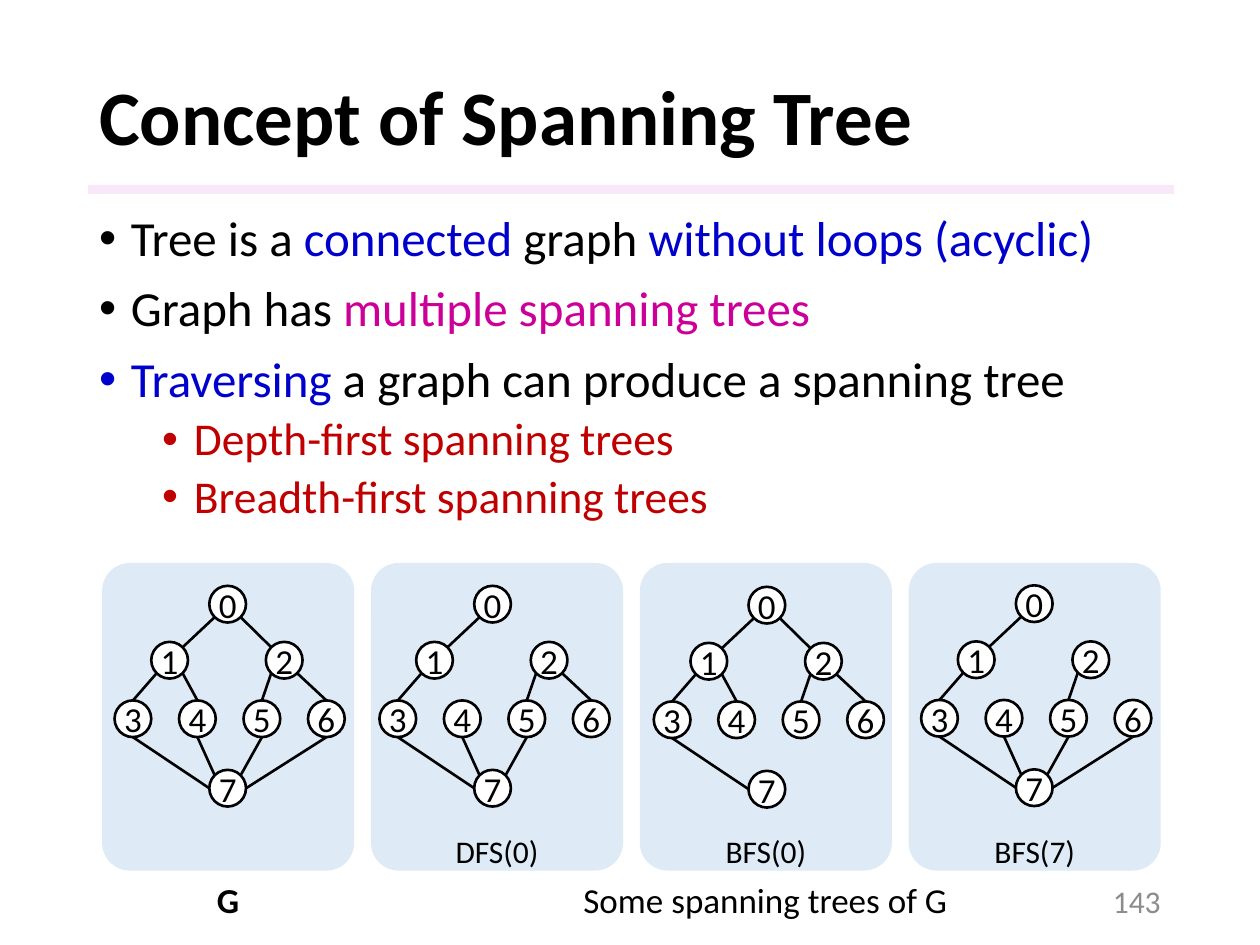
from typing import NamedTuple

from lxml import etree
from pptx import Presentation
from pptx.dml.color import RGBColor
from pptx.enum.shapes import MSO_CONNECTOR, MSO_SHAPE
from pptx.enum.text import MSO_ANCHOR, PP_ALIGN
from pptx.oxml.ns import qn
from pptx.util import Cm, Pt

LEFT, CENTER, RIGHT = PP_ALIGN.LEFT, PP_ALIGN.CENTER, PP_ALIGN.RIGHT
TOP, MIDDLE = MSO_ANCHOR.TOP, MSO_ANCHOR.MIDDLE
RECTANGLE, ROUNDED, OVAL = MSO_SHAPE.RECTANGLE, MSO_SHAPE.ROUNDED_RECTANGLE, MSO_SHAPE.OVAL
STRAIGHT = MSO_CONNECTOR.STRAIGHT

FONT = "Calibri"
COLORS = {
    "black": "000000", "white": "FFFFFF", "gray": "8C8C8C", "blue": "0000CC",
    "magenta": "CC0099", "red": "C00000", "panel": "DEEBF7", "rule": "F3D2F4",
}

# All lengths below are in centimetres.
PANEL_LEFT, PANEL_TOP, PANEL_WIDTH, PANEL_HEIGHT, PANEL_PITCH = 2.06, 11.35, 5.08, 6.2, 5.42
NODE_SIZE = 0.74
NODE_OFFSETS = [(1.91, 0), (0.74, 1.13), (3.05, 1.13),
                *[(1.3 * column, 2.31) for column in range(4)], (1.91, 3.71)]

# Points on a node's rim, as directions from its centre.
SITES = {
    "top": (0, -1), "bottom": (0, 1), "left": (-1, 0), "right": (1, 0),
    "top left": (-0.71, -0.71), "top right": (0.71, -0.71),
    "bottom left": (-0.71, 0.71), "bottom right": (0.71, 0.71),
}
EDGE_SITES = {
    (0, 1): ("bottom left", "top right"), (0, 2): ("bottom right", "top left"),
    (1, 3): ("bottom left", "top"), (1, 4): ("bottom right", "top"),
    (2, 5): ("bottom left", "top"), (2, 6): ("bottom right", "top"),
    (3, 7): ("bottom", "left"), (4, 7): ("bottom", "top left"),
    (5, 7): ("bottom", "top right"), (6, 7): ("bottom", "right"),
}


class Box(NamedTuple):
    left: float
    top: float
    width: float
    height: float

    def lengths(self) -> list:
        return [Cm(value) for value in self]


class Graph(NamedTuple):
    label: str
    left: float
    top: float
    missing: set


class Bullet(NamedTuple):
    level: int
    runs: list


GRAPHS = [
    Graph("", 2.31, 11.81, set()),
    Graph("DFS(0)", 7.65, 11.81, {(0, 2), (1, 4), (6, 7)}),
    Graph("BFS(0)", 13.18, 11.83, {(4, 7), (5, 7), (6, 7)}),
    Graph("BFS(7)", 18.57, 11.8, {(0, 2), (1, 4), (2, 6)}),
]
BULLETS = [
    Bullet(0, [("Tree is a ", "black"), ("connected ", "blue"), ("graph ", "black"),
               ("without loops (acyclic)", "blue")]),
    Bullet(0, [("Graph has ", "black"), ("multiple spanning trees", "magenta")]),
    Bullet(0, [("Traversing", "blue"), (" a graph can produce a spanning tree", "black")]),
    Bullet(1, [("Depth-first spanning trees", "red")]),
    Bullet(1, [("Breadth-first spanning trees", "red")]),
]


def color(name: str) -> RGBColor:
    return RGBColor.from_string(COLORS[name])


def style_font(font, size: float, color_name: str, bold: bool = False) -> None:
    font.name, font.size, font.bold = FONT, Pt(size), bold
    font.color.rgb = color(color_name)


def add_filled(slide, kind, box: Box, fill: str):
    shape = slide.shapes.add_shape(kind, *box.lengths())
    shape.shadow.inherit = False
    shape.fill.solid()
    shape.fill.fore_color.rgb = color(fill)
    shape.line.fill.background()
    return shape


def add_label(slide, box: Box, text: str, size: float, align=CENTER, anchor=TOP,
              color_name: str = "black", bold: bool = False):
    text_frame = slide.shapes.add_textbox(*box.lengths()).text_frame
    text_frame.word_wrap = True
    text_frame.vertical_anchor = anchor
    text_frame.text = text
    paragraph = text_frame.paragraphs[0]
    paragraph.alignment = align
    style_font(paragraph.runs[0].font, size, color_name, bold)
    return paragraph


def add_bullets(slide, box: Box, bullets: list[Bullet]) -> None:
    text_frame = slide.shapes.add_textbox(*box.lengths()).text_frame
    text_frame.word_wrap = True
    for index, bullet in enumerate(bullets):
        paragraph = text_frame.paragraphs[0] if index == 0 else text_frame.add_paragraph()
        paragraph.level = bullet.level
        paragraph.line_spacing = 0.9
        if index:
            paragraph.space_before = Pt(5 if bullet.level else 10)
        properties = paragraph._p.get_or_add_pPr()
        properties.set("marL", str(Cm(0.64 + 1.27 * bullet.level)))
        properties.set("indent", str(Cm(-0.64)))
        etree.SubElement(properties, qn("a:buFont"), typeface="Arial")
        etree.SubElement(properties, qn("a:buChar"), char="•")
        for text, color_name in bullet.runs:
            run = paragraph.add_run()
            run.text = text
            style_font(run.font, 26 if bullet.level else 28, color_name)


def rim_point(graph: Graph, node: int, site: str) -> list:
    radius = NODE_SIZE / 2
    origin = (graph.left, graph.top)
    return [Cm(start + offset + radius * (1 + direction))
            for start, offset, direction in zip(origin, NODE_OFFSETS[node], SITES[site])]


def add_edge(slide, graph: Graph, edge: tuple[int, int]) -> None:
    begin, end = (rim_point(graph, node, site) for node, site in zip(edge, EDGE_SITES[edge]))
    connector = slide.shapes.add_connector(STRAIGHT, *begin, *end)
    connector.line.color.rgb = color("black")
    connector.line.width = Pt(1.5)
    etree.SubElement(connector._element.spPr, qn("a:effectLst"))


def add_node(slide, graph: Graph, node: int) -> None:
    x, y = NODE_OFFSETS[node]
    box = Box(graph.left + x, graph.top + y, NODE_SIZE, NODE_SIZE)
    shape = add_filled(slide, OVAL, box, "white")
    shape.line.color.rgb = color("black")
    shape.line.width = Pt(1.5)
    text_frame = shape.text_frame
    text_frame.margin_left = text_frame.margin_right = 0
    text_frame.vertical_anchor = MIDDLE
    text_frame.text = str(node)
    paragraph = text_frame.paragraphs[0]
    paragraph.alignment = CENTER
    style_font(paragraph.runs[0].font, 20, "black")


def add_graph(slide, graph: Graph) -> None:
    for edge in EDGE_SITES:
        if edge not in graph.missing:
            add_edge(slide, graph, edge)
    for node in range(len(NODE_OFFSETS)):
        add_node(slide, graph, node)


def main() -> None:
    presentation = Presentation()
    presentation.slide_width, presentation.slide_height = Cm(25.4), Cm(19.05)
    slide = presentation.slides.add_slide(presentation.slide_layouts[6])

    rule = add_filled(slide, RECTANGLE, Box(1.78, 3.73, 21.89, 0.18), "rule")
    rule_color = rule._element.spPr.find(qn("a:solidFill"))[0]
    etree.SubElement(rule_color, qn("a:alpha"), val="50000")

    title = add_label(slide, Box(1.75, 1.02, 21.89, 2.82), "Concept of Spanning Tree", 44,
                      LEFT, MIDDLE, bold=True)
    title.line_spacing = 0.9
    add_bullets(slide, Box(1.75, 4.19, 21.89, 7.11), BULLETS)
    add_label(slide, Box(17.93, 17.65, 5.72, 1.02), "143", 18, RIGHT, MIDDLE, "gray")

    panel_lefts = [PANEL_LEFT + PANEL_PITCH * index for index in range(len(GRAPHS))]
    for left in panel_lefts:
        panel = add_filled(slide, ROUNDED, Box(left, PANEL_TOP, PANEL_WIDTH, PANEL_HEIGHT), "panel")
        panel.adjustments[0] = 0.11
    add_label(slide, Box(PANEL_LEFT, 17.58, PANEL_WIDTH, 1.12), "G", 20, bold=True)
    add_label(slide, Box(panel_lefts[1], 17.58, 15.9, 1.12), "Some spanning trees of G", 20)

    for left, graph in zip(panel_lefts, GRAPHS):
        add_graph(slide, graph)
        if graph.label:
            add_label(slide, Box(left, 16.64, PANEL_WIDTH, 1.02), graph.label, 18)

    presentation.save("out.pptx")


if __name__ == "__main__":
    main()
